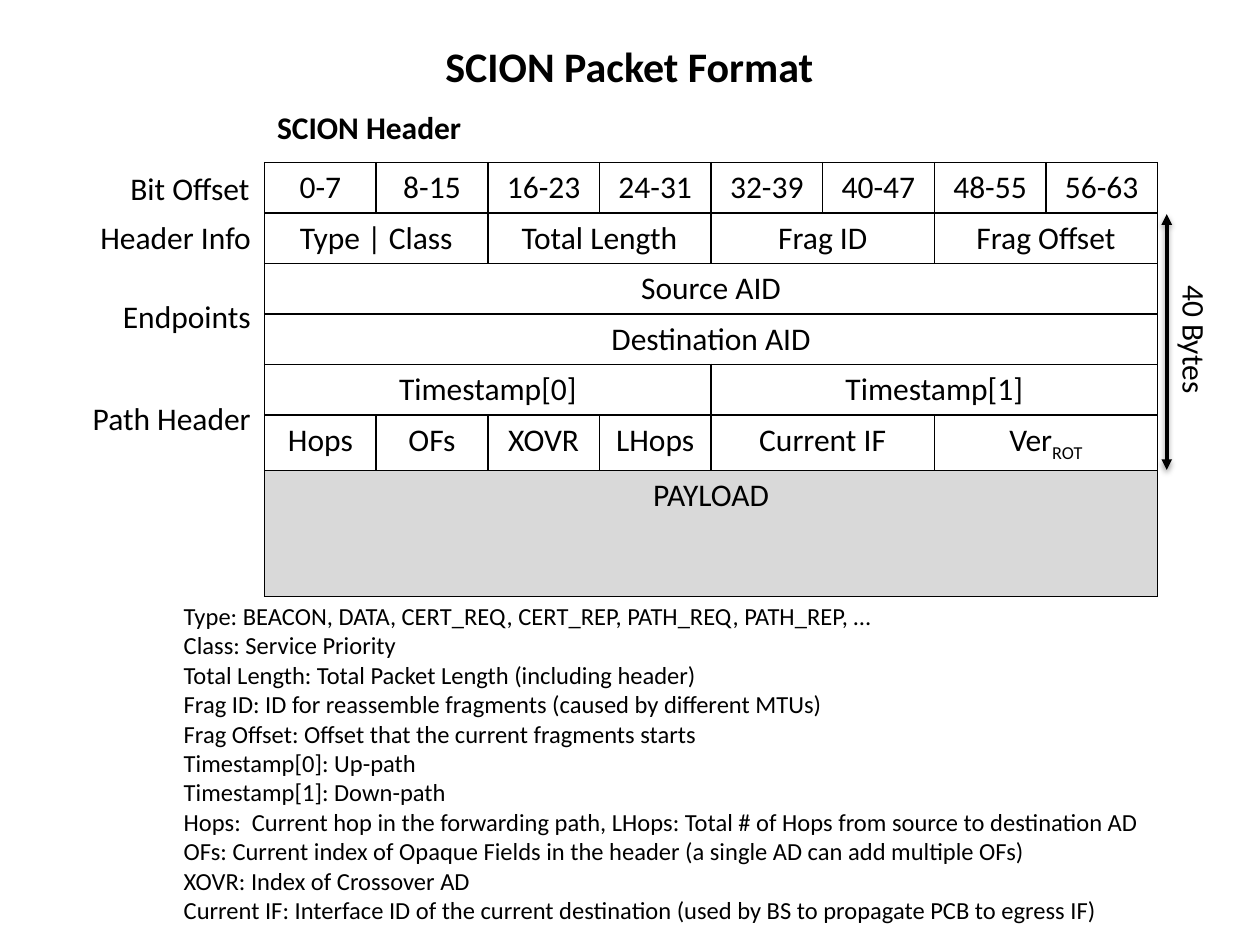
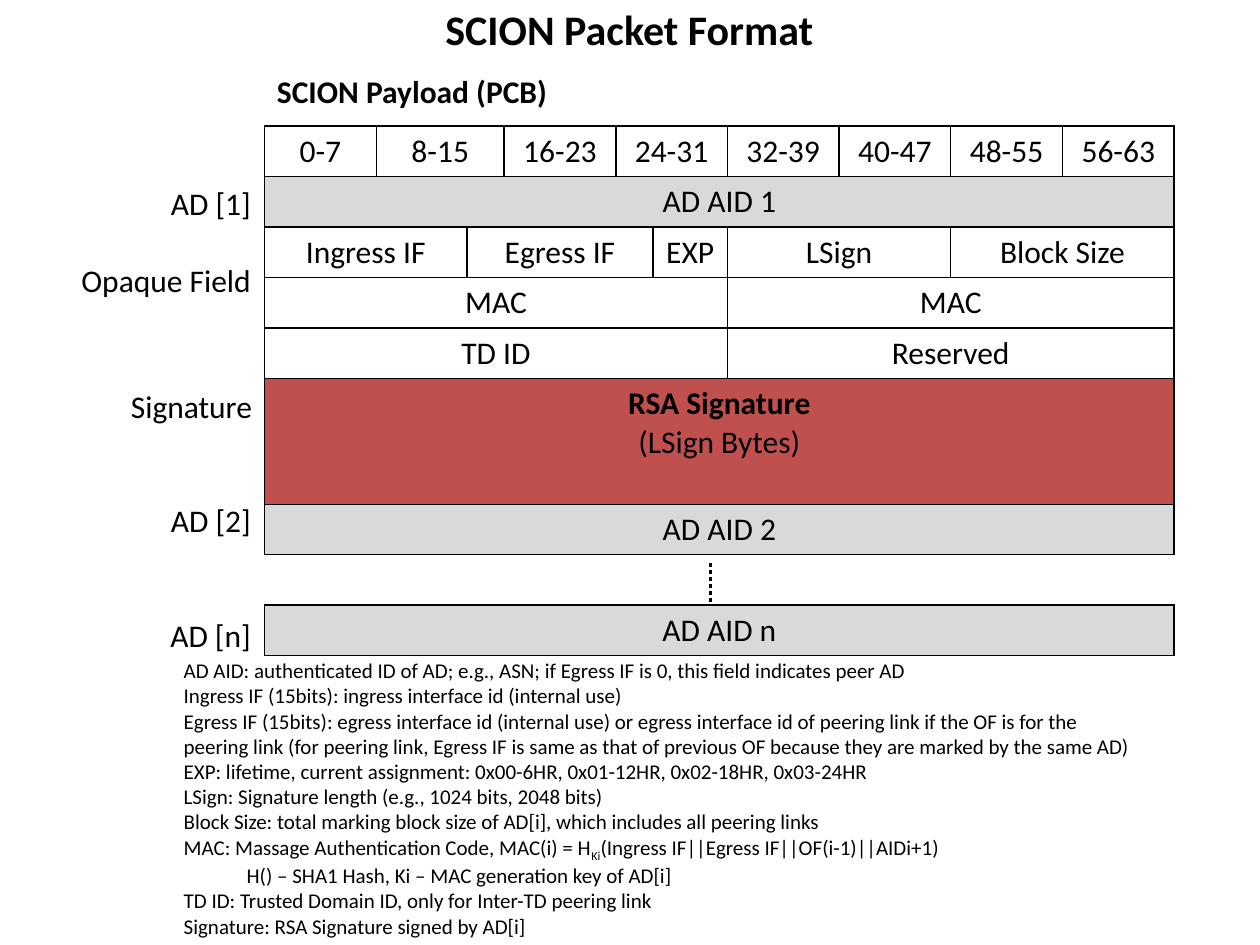
from lxml.etree import SubElement
from pptx import Presentation
from pptx.dml.color import RGBColor
from pptx.enum.dml import MSO_LINE
from pptx.enum.shapes import MSO_CONNECTOR
from pptx.enum.text import MSO_AUTO_SIZE, PP_ALIGN
from pptx.oxml.ns import qn
from pptx.util import Inches, Pt

COLS, ROWS = 100, 75
WIDTH, HEIGHT = Inches(10), Inches(7.5)
FONT, BLACK, GRAY, RED = "Calibri", "000000", "D9D9D9", "C0504D"
LINE = 4
BITS = ["0-7", "8-15", "16-23", "24-31", "32-39", "40-47", "48-55", "56-63"]

HEAD = [
    (BITS, [1] * 8, None, LINE),
    (["Type | Class", "Total Length", "Frag ID", "Frag Offset"], [2] * 4, None, LINE),
    (["Source AID"], [8], None, LINE),
    (["Destination AID"], [8], None, LINE),
    (["Timestamp[0]", "Timestamp[1]"], [4, 4], None, LINE),
    (["Hops", "OFs", "XOVR", "LHops", "Current IF", "Ver~ROT~"],
     [1, 1, 1, 1, 2, 2], None, LINE),
    (["PAYLOAD"], [8], GRAY, 10),
]
LOAD = [
    (BITS, [1, 2, 1, 2, 1, 1, 1, 1], None, LINE),
    (["AD AID 1"], [10], GRAY, LINE),
    (["Ingress IF", "Egress IF", "EXP", "LSign", "Block Size"],
     [2, 3, 1, 2, 2], None, LINE),
    (["MAC", "MAC"], [6, 4], None, LINE),
    (["TD ID", "Reserved"], [6, 4], None, LINE),
    (["*RSA Signature\n(LSign Bytes)"], [10], RED, 10),
    (["AD AID 2"], [10], GRAY, LINE),
    ([""], [10], None, LINE),
    (["AD AID n"], [10], GRAY, LINE),
]
HEAD_NOTES = [
    "Type: BEACON, DATA, CERT_REQ, CERT_REP, PATH_REQ, PATH_REP, …",
    "Class: Service Priority",
    "Total Length: Total Packet Length (including header)",
    "Frag ID: ID for reassemble fragments (caused by different MTUs)",
    "Frag Offset: Offset that the current fragments starts",
    "Timestamp[0]: Up-path",
    "Timestamp[1]: Down-path",
    "Hops:  Current hop in the forwarding path, "
    "LHops: Total # of Hops from source to destination AD",
    "OFs: Current index of Opaque Fields in the header (a single AD can add multiple OFs)",
    "XOVR: Index of Crossover AD",
    "Current IF: Interface ID of the current destination "
    "(used by BS to propagate PCB to egress IF)",
]
LOAD_NOTES = [
    "AD AID: authenticated ID of AD; e.g., ASN; if Egress IF is 0, "
    "this field indicates peer AD",
    "Ingress IF (15bits): ingress interface id (internal use)",
    "Egress IF (15bits): egress interface id (internal use) or egress interface id of "
    "peering link if the OF is for the peering link (for peering link, Egress IF is "
    "same as that of previous OF because they are marked by the same AD)",
    "EXP: lifetime, current assignment: 0x00-6HR, 0x01-12HR, 0x02-18HR, 0x03-24HR",
    "LSign: Signature length (e.g., 1024 bits, 2048 bits)",
    "Block Size: total marking block size of AD[i], which includes all peering links",
    "MAC: Massage Authentication Code, "
    "MAC(i) = H~Ki~(Ingress IF||Egress IF||OF(i-1)||AIDi+1)",
    ">H() – SHA1 Hash, Ki – MAC generation key of AD[i]",
    "TD ID: Trusted Domain ID, only for Inter-TD peering link",
    "Signature: RSA Signature signed by AD[i]",
]


def across(n):
    return round(WIDTH * n / COLS)


def down(n):
    return round(HEIGHT * n / ROWS)


def paint(color, code):
    color.rgb = RGBColor.from_string(code)


def write(frame, lines, size=18, bold=False, align=PP_ALIGN.LEFT):
    for i, line in enumerate(lines):
        para = frame.add_paragraph() if i else frame.paragraphs[0]
        para.alignment = align
        font = para.font
        font.name, font.size = FONT, Pt(size)
        font.bold = bold or line.startswith("*")
        paint(font.color, BLACK)
        if line.startswith(">"):
            para._p.get_or_add_pPr().set("marL", str(across(5)))
        for j, part in enumerate(line.lstrip("*>").split("~")):
            if part:
                run = para.add_run()
                run.text = part
                if j % 2:
                    run._r.get_or_add_rPr().set("baseline", "-25000")


def add_text(slide, lines, left, top, wide, high=4, wrap=False, turn=0, **style):
    box = slide.shapes.add_textbox(across(left), down(top), across(wide), down(high))
    box.rotation = turn
    frame = box.text_frame
    frame.word_wrap = wrap
    frame.auto_size = MSO_AUTO_SIZE.SHAPE_TO_FIT_TEXT
    write(frame, lines, **style)


def add_border(cell, sides):
    props = cell._tc.get_or_add_tcPr()
    for side in "LRTB":
        line = SubElement(props, qn("a:ln" + side), w=str(Pt(1)))
        if side in sides:
            fill = SubElement(line, qn("a:solidFill"))
            SubElement(fill, qn("a:srgbClr"), val=BLACK)
        else:
            SubElement(line, qn("a:noFill"))


def add_grid(slide, top, widths, rows):
    high = sum(row[3] for row in rows)
    table = slide.shapes.add_table(len(rows), len(widths), across(21), down(top),
                                   across(sum(widths)), down(high)).table
    table.first_row = table.horz_banding = False
    for col, wide in zip(table.columns, widths):
        col.width = across(wide)
    for r, (texts, spans, fill, high) in enumerate(rows):
        table.rows[r].height = down(high)
        for cell in table.rows[r].cells:
            add_border(cell, "LRTB" if any(texts) else "TB")
            if fill:
                cell.fill.solid()
                paint(cell.fill.fore_color, fill)
            else:
                cell.fill.background()
        start = 0
        for text, span in zip(texts, spans):
            cell = table.cell(r, start)
            if span > 1:
                cell.merge(table.cell(r, start + span - 1))
            write(cell.text_frame, text.split("\n"), align=PP_ALIGN.CENTER)
            start += span


def add_line(slide, x, top, end, dash=None, arrow=False):
    line = slide.shapes.add_connector(MSO_CONNECTOR.STRAIGHT, across(x), down(top),
                                      across(x), down(end))
    line.line.width = Pt(2)
    paint(line.line.color, BLACK)
    if dash:
        line.line.dash_style = dash
    props = line._element.spPr
    effect = SubElement(props, qn("a:effectLst"))
    if arrow:
        for tip in ("a:headEnd", "a:tailEnd"):
            SubElement(props.find(qn("a:ln")), qn(tip), type="triangle")
        shade = SubElement(effect, qn("a:outerShdw"), blurRad="40000", dist="20000",
                           dir="5400000", rotWithShape="0")
        tint = SubElement(shade, qn("a:srgbClr"), val=BLACK)
        SubElement(tint, qn("a:alpha"), val="38000")


def add_page(deck, top, name, wide, labels):
    slide = deck.slides.add_slide(deck.slide_layouts[6])
    add_text(slide, ["SCION Packet Format"], 34.2, top, 31.5, 5, size=24, bold=True,
             align=PP_ALIGN.CENTER)
    add_text(slide, [name], 21, top + 5.4, wide, bold=True)
    for text, left, row, span in labels:
        add_text(slide, [text], left, row, span, align=PP_ALIGN.RIGHT)
    return slide


def main():
    deck = Presentation()
    deck.slide_width, deck.slide_height = WIDTH, HEIGHT

    head = add_page(deck, 2.7, "SCION Header", 16.8, [
        ("Bit Offset", 9.2, 12.9, 11.6), ("Header Info", 6.9, 16.8, 14),
        ("Endpoints", 8.6, 23.1, 12.3), ("Path Header", 6.2, 31.2, 14.7)])
    add_grid(head, 12.9, [8.86] * 8, HEAD)
    add_text(head, HEAD_NOTES, 13.6, 47.2, 86.4, 26.9, wrap=True, size=14)
    add_line(head, 92.6, 17, 37.3, arrow=True)
    add_text(head, ["40 Bytes"], 89.5, 25, 10.7, turn=90)

    load = add_page(deck, -0.2, "SCION Payload (PCB)", 23.7, [
        ("AD [1]", 12.5, 14.1, 8.4), ("AD [2]", 12.5, 39.3, 8.4),
        ("AD [n]", 12.5, 48.4, 8.4), ("Opaque Field", 4.7, 20.2, 16.2),
        ("Signature", 9.3, 30.2, 11.7)])
    add_grid(load, 10, [8.87, 7.2, 2.95, 8.87, 2.95, 5.9] + [8.87] * 4, LOAD)
    add_line(load, 56.4, 44.7, 48, dash=MSO_LINE.ROUND_DOT)
    add_text(load, LOAD_NOTES, 13.6, 51.7, 78.3, 23.2, wrap=True, size=12)

    deck.save("out.pptx")


if __name__ == "__main__":
    main()
